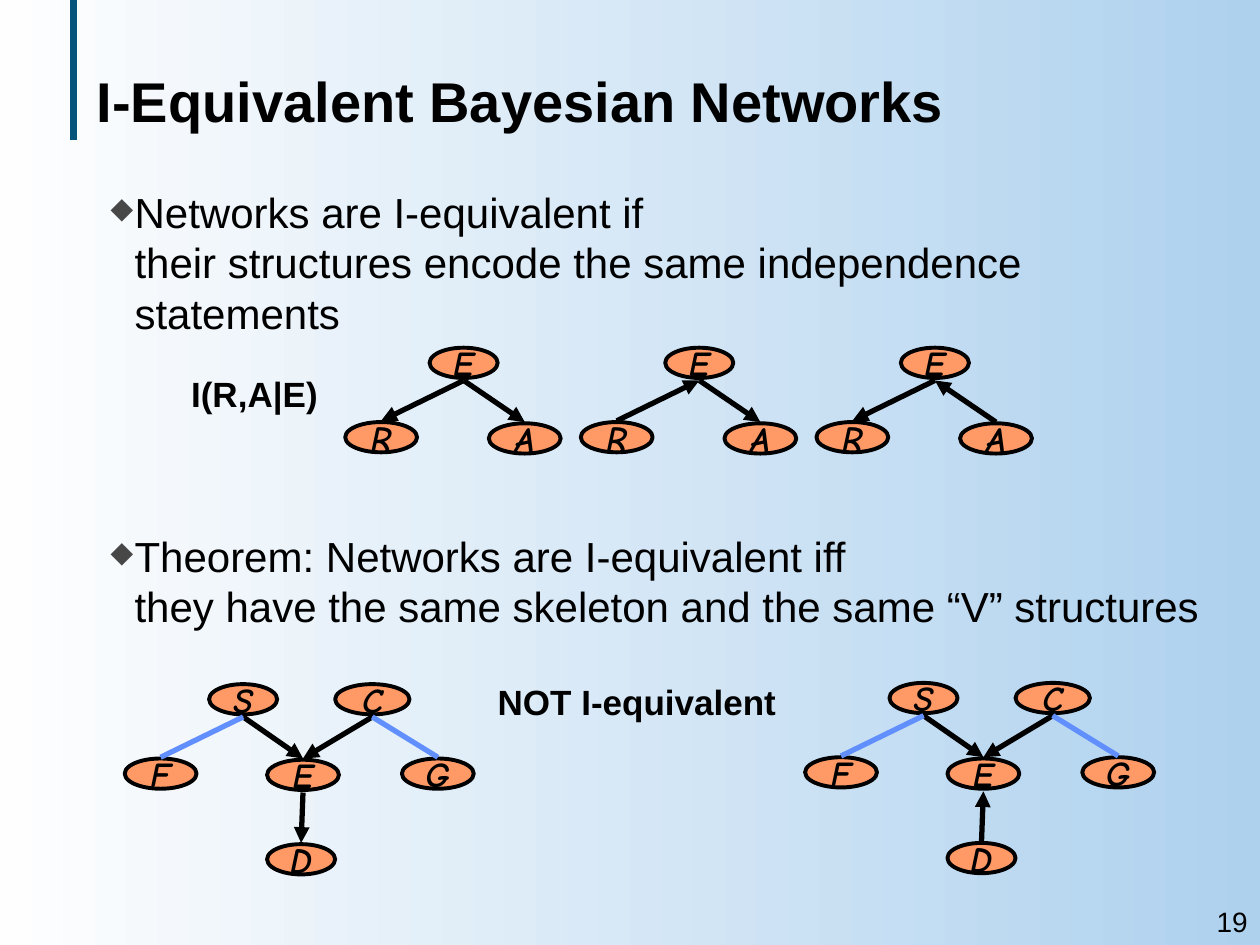
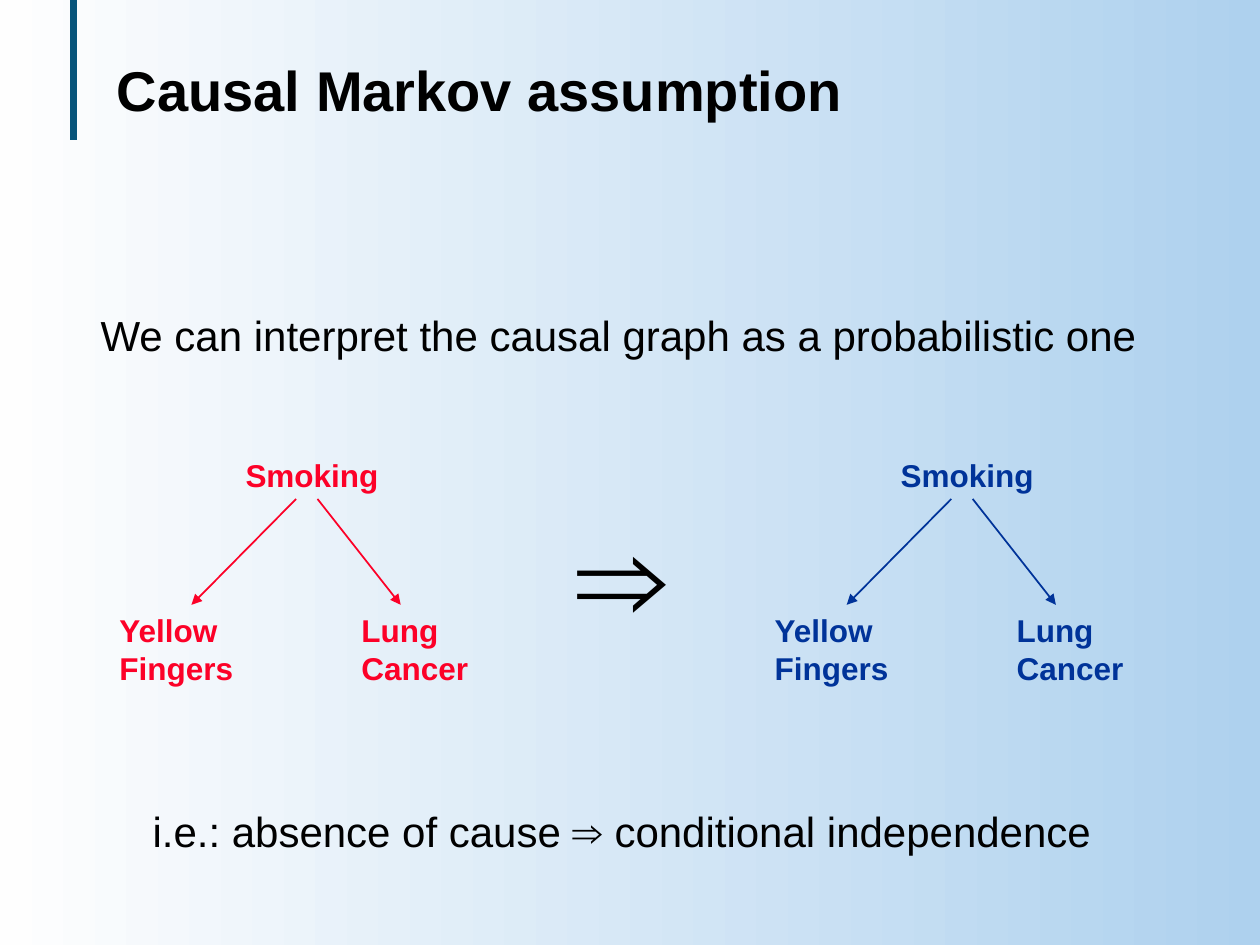
import pptx
import pptx.util
import pptx.dml.color
import pptx.enum.shapes
import pptx.enum.text
import pptx.oxml.ns
import lxml.etree

Inches, Pt = pptx.util.Inches, pptx.util.Pt
RGB = pptx.dml.color.RGBColor
Align = pptx.enum.text.PP_ALIGN
Anchor = pptx.enum.text.MSO_ANCHOR
Fit = pptx.enum.text.MSO_AUTO_SIZE
Shape = pptx.enum.shapes.MSO_SHAPE
STRAIGHT = pptx.enum.shapes.MSO_CONNECTOR.STRAIGHT

BLACK = RGB(0, 0, 0)
SKY = RGB(0xAE, 0xD1, 0xEE)
PALE = RGB(0xFE, 0xFE, 0xFE)
TEAL = RGB(0x07, 0x54, 0x7A)
PEACH = RGB(0xFF, 0x99, 0x66)
BLUE = RGB(0x61, 0x8F, 0xFD)
RED = RGB(0xFC, 0x01, 0x28)
NAVY = RGB(0x00, 0x33, 0x99)

# Font styles
PLAIN = {"name": "Arial", "size": Pt(24), "bold": False}
TITLE = {**PLAIN, "size": Pt(32), "bold": True}
LABEL = {**PLAIN, "size": Pt(20), "bold": True}
CAUSE = {**PLAIN, "size": Pt(18), "bold": True}
SIGN = {**PLAIN, "size": Pt(72)}
PAGE = {**PLAIN, "size": Pt(16)}
NODE = {**LABEL, "name": "Comic Neue", "italic": True}

POINTS = [
    ("Networks are I-equivalent if\v"
     "their structures encode the same independence statements", 0),
    ("Theorem: Networks are I-equivalent iff\v"
     "they have the same skeleton and the same “V” structures", 110),
]

# Nodes: name -> left, top, width inside the graph
TREE = {"E": (0.67, 0, 0.54), "A": (1.14, 0.6, 0.57), "R": (0, 0.59, 0.57)}
WEB = {"S": (0.67, 0, 0.54), "C": (1.67, 0, 0.59), "E": (1.13, 0.6, 0.57),
       "D": (1.13, 1.27, 0.54), "F": (0, 0.59, 0.57), "G": (2.2, 0.59, 0.57)}
OVAL = 0.24

# Edges: ">" is an arrow, "-" a plain link
TREES = ["E>A E>R", "E>A R>E", "A>E E>R"]
TREE_AT, TREE_STEP = (2.74, 2.76), 1.87
FRAME = "S>E C>E S-F C-G "
WEBS = [(0.99, 5.43, FRAME + "E>D"), (6.39, 5.42, FRAME + "D>E")]

CAUSES = [(0.85, RED), (6.05, NAVY)]
WORDS = [("Smoking", 1, 3.57, 1.35, 0.4),
         ("Yellow\nFingers", 0, 4.8, 1.2, 0.7),
         ("Lung\nCancer", 1.92, 4.8, 1.15, 0.7)]
ARROWS = [(1.67, 2.33), (1.5, 0.67)]
ARROW_TOP, ARROW_END = 3.96, 4.8


def style(para, look, color=BLACK):
    for key, value in look.items():
        setattr(para.font, key, value)
    para.font.color.rgb = color


def write(slide, text, box, look, color=BLACK, align=Align.LEFT,
          anchor=Anchor.MIDDLE, wrap=True):
    frame = slide.shapes.add_textbox(*map(Inches, box)).text_frame
    frame.text = text
    frame.word_wrap = wrap
    frame.vertical_anchor = anchor
    frame.auto_size = Fit.NONE
    for para in frame.paragraphs:
        para.alignment = align
        style(para, look, color)
    return frame


def child(parent, tag, **attrs):
    return lxml.etree.SubElement(parent, pptx.oxml.ns.qn(tag), attrs)


def draw(slide, start, end, color, width, arrow=False):
    """Draw a line, with an arrowhead at its end if asked."""
    line = slide.shapes.add_connector(
        STRAIGHT, *map(Inches, (*start, *end)))
    line.line.color.rgb = color
    line.line.width = Pt(width)
    if arrow:
        child(line.line._get_or_add_ln(), "a:tailEnd", type="triangle")
    child(line._element.spPr, "a:effectLst")


def start(deck, title, box):
    """Add a slide with the shared background, bar and title."""
    slide = deck.slides.add_slide(deck.slide_layouts[6])
    fill = slide.background.fill
    fill.gradient()
    fill.gradient_angle = 180
    for stop, color, place in zip(fill.gradient_stops, (SKY, PALE), (0, 1)):
        stop.color.rgb = color
        stop.position = place
    draw(slide, (0.58, 0), (0.58, 1.11), TEAL, 4)
    write(slide, title, box, TITLE)
    return slide


def graph(slide, left, top, nodes, edges):
    for name, (x, y, width) in nodes.items():
        oval = slide.shapes.add_shape(
            Shape.OVAL, *map(Inches, (left + x, top + y, width, OVAL)))
        oval.shadow.inherit = False
        oval.fill.solid()
        oval.fill.fore_color.rgb = PEACH
        oval.line.color.rgb = BLACK
        oval.line.width = Pt(2.25)
        frame = oval.text_frame
        frame.text = name
        frame.word_wrap = False
        frame.vertical_anchor = Anchor.MIDDLE
        frame.paragraphs[0].alignment = Align.CENTER
        style(frame.paragraphs[0], NODE)
    for tail, kind, head in edges.split():
        ends = []
        for name, other in ((tail, head), (head, tail)):
            x, y, width = nodes[name]
            above = y < nodes[other][1]
            edge = OVAL + 0.02 if above else -0.01
            ends.append((left + x + width / 2, top + y + edge))
        arrow = kind == ">"
        draw(slide, *ends, BLACK if arrow else BLUE, 3, arrow)


def bullet(para):
    props = para._p.get_or_add_pPr()
    props.set("marL", str(Inches(0.19)))
    props.set("indent", str(-Inches(0.19)))
    child(child(props, "a:buClr"), "a:srgbClr", val="474747")
    child(props, "a:buSzPct", val="70000")
    child(props, "a:buChar", char="◆")


def networks(deck):
    slide = start(deck, "I-Equivalent Bayesian Networks",
                  (0.67, 0.17, 8.92, 1.25))
    body = write(slide, "\n".join(text for text, _ in POINTS),
                 (0.78, 1.43, 9, 5.59), PLAIN, anchor=Anchor.TOP)
    for para, (_, gap) in zip(body.paragraphs, POINTS):
        bullet(para)
        if gap:
            para.space_before = Pt(gap)
    left, top = TREE_AT
    for i, edges in enumerate(TREES):
        graph(slide, left + i * TREE_STEP, top, TREE, edges)
    for left, top, edges in WEBS:
        graph(slide, left, top, WEB, edges)
    write(slide, "I(R,A|E)", (1.37, 2.9, 1.3, 0.44), LABEL,
          align=Align.CENTER, wrap=False)
    write(slide, "NOT I-equivalent", (3.8, 5.35, 2.51, 0.44), LABEL,
          align=Align.CENTER, wrap=False)
    write(slide, "19", (8.99, 7.13, 1.01, 0.37), PAGE, align=Align.RIGHT)


def markov(deck):
    slide = start(deck, "Causal Markov assumption", (0.83, 0.17, 7.83, 1.08))
    for left, color in CAUSES:
        for x, end in ARROWS:
            draw(slide, (left + x, ARROW_TOP), (left + end, ARROW_END),
                 color, 1, True)
        for text, x, top, width, height in WORDS:
            write(slide, text, (left + x, top, width, height), CAUSE, color,
                  anchor=Anchor.TOP)
    write(slide, "⇒", (4.48, 3.89, 1.1, 1.3), SIGN, anchor=Anchor.TOP)
    write(slide, "We can interpret the causal graph as a probabilistic one",
          (0.7, 2.41, 8.52, 0.5), PLAIN, anchor=Anchor.TOP)
    write(slide, "i.e.: absence of cause ⇒ conditional independence",
          (1.01, 6.34, 7.85, 0.5), PLAIN, align=Align.CENTER,
          anchor=Anchor.TOP)


def main():
    deck = pptx.Presentation()
    deck.slide_width, deck.slide_height = Inches(10), Inches(7.5)
    networks(deck)
    markov(deck)
    deck.save("out.pptx")


if __name__ == "__main__":
    main()
